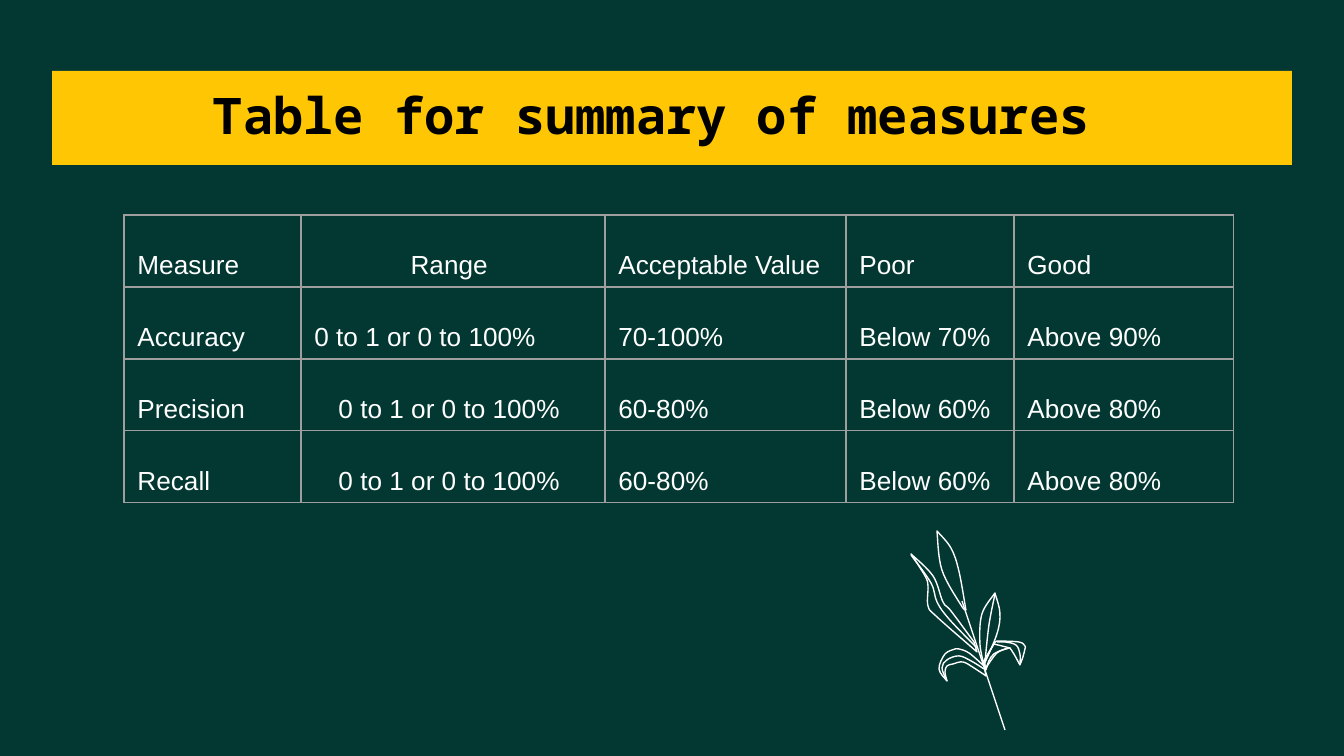
from lxml.etree import SubElement
from pptx import Presentation
from pptx.dml.color import RGBColor
from pptx.enum.shapes import MSO_CONNECTOR, MSO_SHAPE
from pptx.enum.text import MSO_ANCHOR, PP_ALIGN
from pptx.oxml import parse_xml
from pptx.oxml.ns import nsdecls, qn
from pptx.util import Pt

SCALE = 914400 / 134.4
GREEN, GOLD, WHITE, BLACK, GREY = "023831", "FFC703", "FFFFFF", "000000", "9E9E9E"
HEAD = {"name": "Noto Sans Mono", "size": Pt(27), "bold": True}
BODY = {"name": "Arial", "size": Pt(14), "bold": False}

COLS = [177, 304, 241, 168, 220]
ROWS = [
    ["Measure", "Range", "Acceptable Value", "Poor", "Good"],
    ["Accuracy", "0 to 1 or 0 to 100%", "70-100%", "Below 70%", "Above 90%"],
    ["Precision", "0 to 1 or 0 to 100%", "60-80%", "Below 60%", "Above 80%"],
    ["Recall", "0 to 1 or 0 to 100%", "60-80%", "Below 60%", "Above 80%"],
]
MIDDLE = {(0, 1), (2, 1), (3, 1)}

# Each outline is a list of smooth strokes that meet at sharp corners.
LEAVES = [
    [[(84, 63), (71, 84), (69, 113), (73, 135)],
     [(73, 135), (86, 104), (89, 83), (84, 63)]],
    [[(0, 24), (14, 46), (17, 56), (17, 76), (26, 87), (66, 122)],
     [(66, 122), (63, 112)],
     [(63, 112), (40, 81), (32, 72), (22, 46), (0, 24)]],
    [[(86, 111), (83, 114), (73, 131)], [(73, 131), (75, 139)],
     [(75, 139), (78, 131), (83, 124), (94, 119), (99, 118)],
     [(99, 118), (103, 124), (109, 135)],
     [(109, 135), (112, 127), (114, 119), (114, 116), (108, 112), (86, 111)]],
    [[(83, 114), (73, 131)], [(73, 131), (75, 140)],
     [(75, 140), (77, 135), (86, 123), (95, 119), (99, 118)],
     [(99, 118), (83, 114)]],
    [[(44, 119), (34, 124), (28, 139), (36, 151)],
     [(36, 151), (34, 142), (36, 136), (42, 134), (52, 132), (63, 138), (75, 146)],
     [(75, 146), (73, 136)],
     [(73, 136), (58, 123), (48, 119), (44, 119)]],
    [[(26, 1), (31, 40), (50, 75), (55, 80)],
     [(55, 80), (48, 41), (40, 18), (26, 1)]],
]
VEINS = [
    [[(74, 132), (78, 95), (84, 64)]],
    [[(0, 25), (20, 53), (26, 72), (38, 89), (66, 118)]],
    [[(109, 134), (109, 124), (105, 115), (94, 112), (86, 112)]],
    [[(73, 139), (60, 131), (48, 126), (36, 130), (31, 138), (36, 151)]],
]
STEM = [(51, 71), (94, 200)]


def px(*nums):
    vals = [round(n * SCALE) for n in nums]
    return vals if len(vals) > 1 else vals[0]


def paint(fill, tone):
    fill.solid()
    fill.fore_color.rgb = RGBColor.from_string(tone)


def write(frame, text, style, tone, align):
    para = frame.paragraphs[0]
    para.alignment = align
    run = para.add_run()
    run.text = text
    for key, val in style.items():
        setattr(run.font, key, val)
    run.font.color.rgb = RGBColor.from_string(tone)


def title(slide, left, top, wide, high):
    bar = slide.shapes.add_shape(MSO_SHAPE.RECTANGLE, *px(left, top, wide, high))
    bar.shadow.inherit = False
    paint(bar.fill, GOLD)
    bar.line.fill.background()
    box = slide.shapes.add_textbox(*px(left - 83, top + 1, 1134, 85))
    frame = box.text_frame
    frame.word_wrap = True
    frame.vertical_anchor = MSO_ANCHOR.MIDDLE
    for side in ("left", "top", "right", "bottom"):
        setattr(frame, f"margin_{side}", Pt(7.2))
    write(frame, "Table for summary of measures", HEAD, BLACK, PP_ALIGN.RIGHT)


def edge(cell):
    """Draw a thin border on all four sides of the cell."""
    props = cell._tc.get_or_add_tcPr()
    for spot, side in enumerate("LRTB"):
        line = parse_xml(f'<a:ln{side} {nsdecls("a")} w="9525"><a:solidFill>'
                         f'<a:srgbClr val="{GREY}"/></a:solidFill></a:ln{side}>')
        props.insert(spot, line)


def grid(slide, left, top, high):
    """Place the table of measures, with rows of equal height."""
    size = px(left, top, sum(COLS), high * len(ROWS))
    table = slide.shapes.add_table(len(ROWS), len(COLS), *size).table
    table.first_row = table.horz_banding = False
    for col, wide in zip(table.columns, COLS):
        col.width = px(wide)
    for r, texts in enumerate(ROWS):
        table.rows[r].height = px(high)
        for c, text in enumerate(texts):
            cell = table.cell(r, c)
            cell.fill.background()
            cell.vertical_anchor = MSO_ANCHOR.BOTTOM
            edge(cell)
            align = PP_ALIGN.LEFT
            if (r, c) in MIDDLE:
                align = PP_ALIGN.CENTER
                cell.margin_right = px(21)
            write(cell.text_frame, text, BODY, WHITE, align)


def smooth(pts):
    """Return two control points and an end for each curve through pts."""
    ends = [pts[0], *pts, pts[-1]]
    out = []
    for a, b, c, d in zip(ends, ends[1:], ends[2:], ends[3:]):
        out += [tuple(q + (r - p) / 6 for p, q, r in zip(a, b, c)),
                tuple(r - (s - q) / 6 for q, r, s in zip(b, c, d)), c]
    return out


def bend(shape):
    """Turn each three line steps of a freeform into one curve."""
    steps = list(shape._element.iter(qn("a:lnTo")))
    for trio in zip(steps[::3], steps[1::3], steps[2::3]):
        curve = parse_xml(f'<a:cubicBezTo {nsdecls("a")}/>')
        trio[0].addprevious(curve)
        for step in trio:
            curve.append(step[0])
            step.getparent().remove(step)


def ink(line):
    paint(line.fill, WHITE)
    line.width = Pt(0.75)


def flower(slide, left, top):
    group = slide.shapes.add_group_shape()
    for shut, forms in ((True, LEAVES), (False, VEINS)):
        for strokes in forms:
            pts = [strokes[0][0], *(p for part in strokes for p in smooth(part))]
            pts = [px(left + x, top + y) for x, y in pts]
            pen = group.shapes.build_freeform(*pts[0])
            pen.add_line_segments(pts[1:], close=shut)
            shape = pen.convert_to_shape()
            bend(shape)
            shape.shadow.inherit = False
            shape.fill.background()
            ink(shape.line)
    ends = [n for x, y in STEM for n in px(left + x, top + y)]
    stem = group.shapes.add_connector(MSO_CONNECTOR.STRAIGHT, *ends)
    ink(stem.line)
    SubElement(stem._element.spPr, qn("a:effectLst"))


def main():
    deck = Presentation()
    deck.slide_width, deck.slide_height = px(1344, 756)
    slide = deck.slides.add_slide(deck.slide_layouts[6])
    paint(slide.background.fill, GREEN)
    flower(slide, 911, 530)
    title(slide, 52, 71, 1240, 94)
    grid(slide, 124, 215, 72)
    deck.save("out.pptx")


if __name__ == "__main__":
    main()
